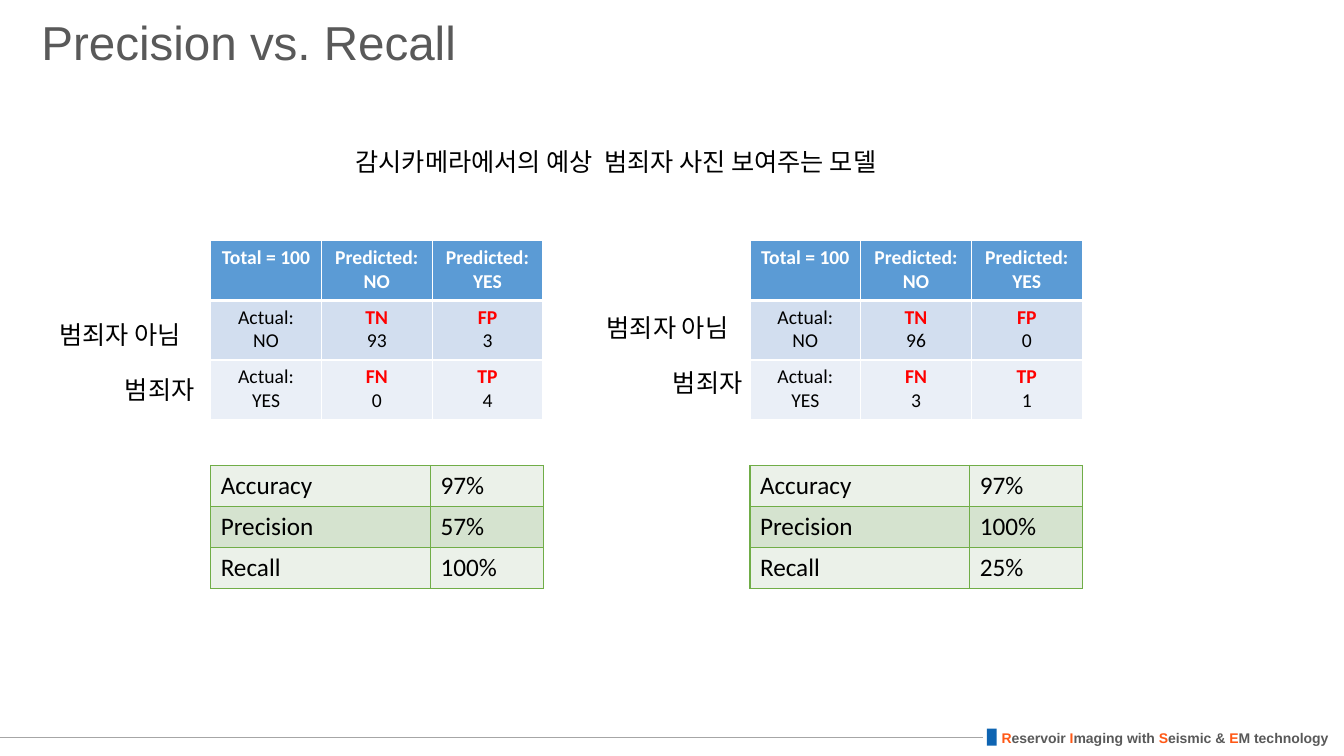
"""Build the slide comparing precision and recall of two suspect-detection models."""
from dataclasses import dataclass

from lxml import etree
from pptx import Presentation
from pptx import util as u
from pptx.dml.color import RGBColor
from pptx.enum import shapes, text
from pptx.oxml.ns import qn

TITLE = "Precision vs. Recall"
CAPTION = "감시카메라에서의 예상  범죄자 사진 보여주는 모델"
FOOTER = [("R", "eservoir "), ("I", "maging with "), ("S", "eismic & "), ("E", "M technology")]
HEADER = [["Total = 100"], ["Predicted:", "NO"], ["Predicted:", "YES"]]
OUTCOMES = [("NO", "TN", "FP"), ("YES", "FN", "TP")]
METRICS = ["Accuracy", "Precision", "Recall"]
MODELS = [
    dict(left=5.31, counts=[("93", "3"), ("0", "4")], scores=["97%", "57%", "100%"],
         labels=[("범죄자", 2.9, 9.32, 3.2), ("범죄자 아님", 1.24, 7.92, 4.27)]),
    dict(left=18.9, counts=[("96", "0"), ("3", "1")], scores=["97%", "100%", "25%"],
         labels=[("범죄자", 16.71, 9.14, 3.2), ("범죄자 아님", 15.04, 7.75, 4.27)]),
]
MATRIX = dict(top=6.07, cols=[2.79] * 3, row=1.5)
SCORES = dict(top=11.73, cols=[5.54, 2.84], row=1.03)


@dataclass(frozen=True)
class Theme:
    heading: str = "Arial"
    body: str = "Calibri"
    title_size: int = 34
    body_size: int = 18
    matrix_size: int = 14
    footer_size: int = 10
    grey: str = "595959"
    rule: str = "A6A6A6"
    orange: str = "FF5815"
    marker: str = "0E64B2"
    black: str = "000000"
    white: str = "FFFFFF"
    red: str = "FF0000"
    header: str = "5B9BD5"
    matrix_bands: tuple = ("D2DEEF", "EAEFF7")
    green: str = "70AD47"
    score_bands: tuple = ("EBF1E9", "D5E3CF")


T = Theme()


def rgb(value):
    return RGBColor.from_string(value)


def style(font, name, size, color, bold=False):
    font.name, font.size, font.bold = name, u.Pt(size), bold
    font.color.rgb = rgb(color)


def box(left, top, width, height):
    return [u.Cm(v) for v in (left, top, width, height)]


def add_label(slide, words, left, top, width):
    tf = slide.shapes.add_textbox(*box(left, top, width, 1.03)).text_frame
    tf.word_wrap = True
    tf.text = words
    style(tf.paragraphs[0].font, T.body, T.body_size, T.black)


def set_borders(cell, color, bottom=1):
    tc_pr = cell._tc.get_or_add_tcPr()
    for side, width in (("L", 1), ("R", 1), ("T", 1), ("B", bottom)):
        ln = etree.SubElement(tc_pr, qn(f"a:ln{side}"), w=str(u.Pt(width)))
        fill = etree.SubElement(ln, qn("a:solidFill"))
        etree.SubElement(fill, qn("a:srgbClr"), val=color)


def add_grid(slide, left, spec_, rows):
    cols, height = spec_["cols"], spec_["row"]
    frame = slide.shapes.add_table(
        len(rows), len(cols), *box(left, spec_["top"], sum(cols), height * len(rows)))
    table = frame.table
    table.first_row = table.horz_banding = False
    for column, width in zip(table.columns, cols):
        column.width = u.Cm(width)
    for row in table.rows:
        row.height = u.Cm(height)
    return table


def fill_cell(cell, lines, size, color, fill, border, bottom=1, bold=False, align=None):
    set_borders(cell, border, bottom)
    cell.fill.solid()
    cell.fill.fore_color.rgb = rgb(fill)
    cell.text = "\n".join(lines)
    for p in cell.text_frame.paragraphs:
        p.alignment = align
        style(p.font, T.body, size, color, bold)


def add_matrix(slide, model):
    rows = [HEADER]
    for (actual, *codes), counts in zip(OUTCOMES, model["counts"]):
        rows.append([["Actual:", actual], *zip(codes, counts)])
    table = add_grid(slide, model["left"], MATRIX, rows)
    for i, row in enumerate(rows):
        head = i == 0
        for j, lines in enumerate(row):
            cell = table.cell(i, j)
            fill_cell(cell, lines, T.matrix_size, T.white if head else T.black,
                      T.header if head else T.matrix_bands[i - 1], T.white,
                      3 if head else 1, head, text.PP_ALIGN.CENTER)
            if i and j:
                style(cell.text_frame.paragraphs[0].font, T.body, T.matrix_size, T.red, True)


def add_scores(slide, model):
    rows = list(zip(METRICS, model["scores"]))
    table = add_grid(slide, model["left"], SCORES, rows)
    for i, row in enumerate(rows):
        for j, words in enumerate(row):
            fill_cell(table.cell(i, j), [words], T.body_size, T.black,
                      T.score_bands[i % 2], T.green)


def add_footer(slide):
    tf = slide.shapes.add_textbox(*box(24.99, 18.26, 8.84, 0.69)).text_frame
    tf.word_wrap = False
    p = tf.paragraphs[0]
    for initial, rest in FOOTER:
        for words, color in ((initial, T.orange), (rest, T.grey)):
            r = p.add_run()
            r.text = words
            style(r.font, T.heading, T.footer_size, color, True)
    line = slide.shapes.add_connector(
        shapes.MSO_CONNECTOR.STRAIGHT, *box(24.77, 18.57, 0, 18.57))
    line.line.color.rgb = rgb(T.rule)
    line.line.width = u.Pt(0.5)
    etree.SubElement(line._element.spPr, qn("a:effectLst"))
    marker = slide.shapes.add_shape(shapes.MSO_SHAPE.RECTANGLE, *box(24.87, 18.36, 0.25, 0.43))
    marker.shadow.inherit = False
    marker.fill.solid()
    marker.fill.fore_color.rgb = rgb(T.marker)
    marker.line.fill.background()


def add_title(slide):
    sp = slide.shapes.title
    sp.left, sp.top, sp.width, sp.height = box(0.79, 0, 29.21, 2.26)
    tf = sp.text_frame
    tf.text = TITLE
    tf.vertical_anchor = text.MSO_ANCHOR.MIDDLE
    p = tf.paragraphs[0]
    p.alignment, p.line_spacing = text.PP_ALIGN.LEFT, 0.9
    style(p.font, T.heading, T.title_size, T.grey)


def main():
    prs = Presentation()
    prs.slide_width, prs.slide_height = u.Cm(33.87), u.Cm(19.05)
    slide = prs.slides.add_slide(prs.slide_layouts[5])
    add_footer(slide)
    add_title(slide)
    for model in MODELS:
        add_matrix(slide, model)
        add_scores(slide, model)
    add_label(slide, CAPTION, 8.71, 3.56, 16.18)
    for model in MODELS:
        for label in model["labels"]:
            add_label(slide, *label)
    prs.save("out.pptx")


if __name__ == "__main__":
    main()
